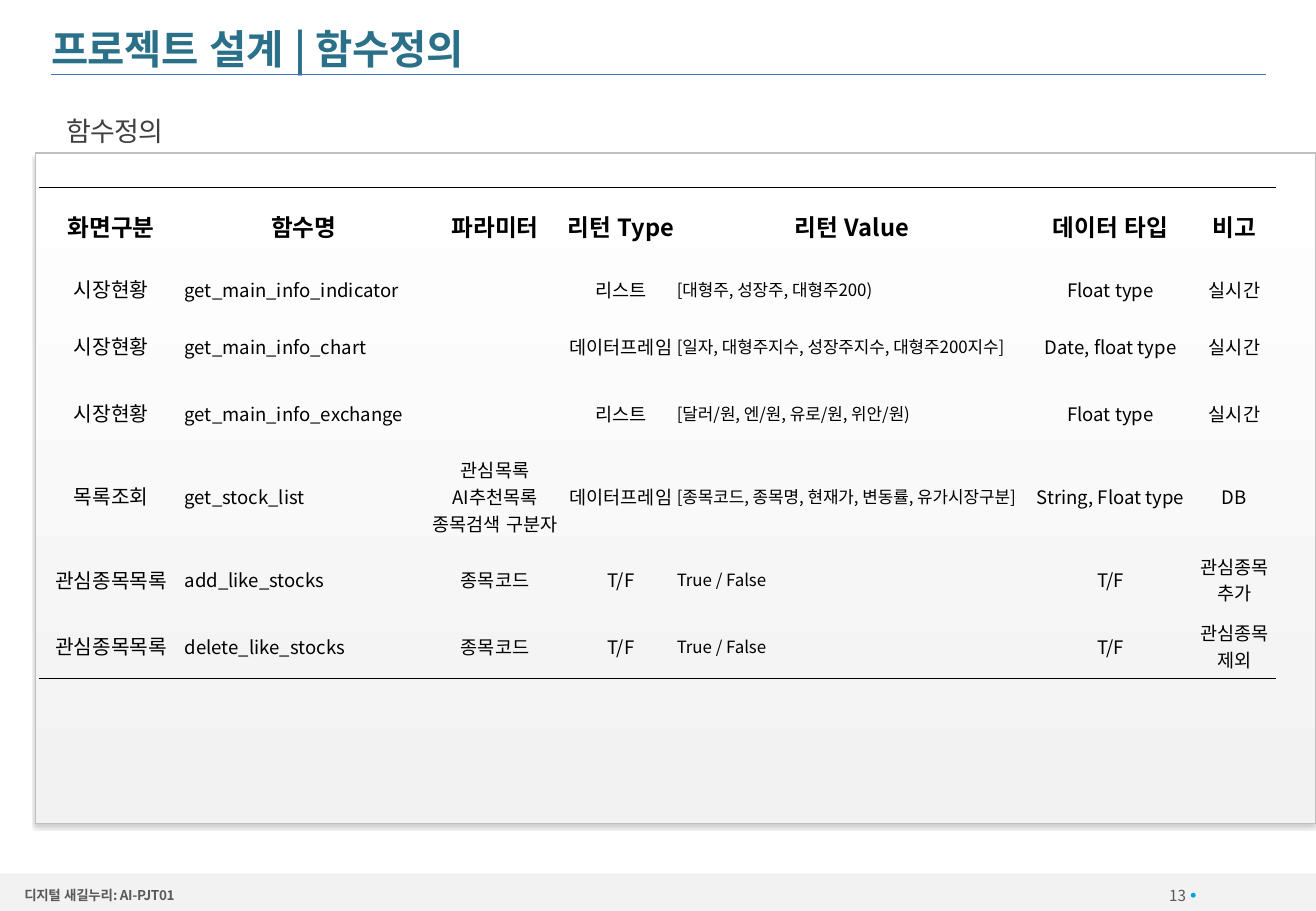
from dataclasses import dataclass
from typing import NamedTuple

from lxml import etree
from pptx import Presentation
from pptx import util as u
from pptx.dml.color import RGBColor
from pptx.enum import shapes, text
from pptx.oxml import ns

FONT = "Noto Sans CJK KR"
TEAL = RGBColor(0x2B, 0x70, 0x89)
BLUE = RGBColor(0x44, 0x72, 0xC4)
CYAN = RGBColor(0x00, 0xA3, 0xDF)
BLACK = RGBColor(0x00, 0x00, 0x00)
CHARCOAL = RGBColor(0x40, 0x40, 0x40)
GRAY = RGBColor(0x59, 0x59, 0x59)
SILVER = RGBColor(0xBF, 0xBF, 0xBF)
PALE = RGBColor(0xF2, 0xF2, 0xF2)
WHITE = RGBColor(0xFF, 0xFF, 0xFF)
LEFT, CENTER, RIGHT = text.PP_ALIGN.LEFT, text.PP_ALIGN.CENTER, text.PP_ALIGN.RIGHT
NO_TABLE_STYLE = "{2D5ABB26-0587-4C30-8999-92F81FD0307C}"


@dataclass(frozen=True)
class Style:
    size: float
    color: RGBColor = BLACK
    bold: bool = False
    align: text.PP_ALIGN = LEFT
    spacing: float = 0


@dataclass(frozen=True)
class Column:
    heading: str
    width: float
    style: Style


class FunctionRow(NamedTuple):
    screen: str
    name: str
    parameters: str
    return_type: str
    return_value: str
    data_type: str
    note: str


class Box(NamedTuple):
    left: float
    top: float
    width: float
    height: float

    def lengths(self) -> list[u.Length]:
        return [u.Inches(value) for value in self]


HEADING = Style(14, bold=True, align=CENTER)
BODY = Style(11, align=CENTER)
COLUMNS = [
    Column("화면구분", 1.19, Style(12, align=CENTER)),
    Column("함수명", 1.98, Style(11)),
    Column("파라미터", 1.17, BODY),
    Column("리턴 Type", 0.9, BODY),
    Column("리턴 Value", 2.9, Style(10)),
    Column("데이터 타입", 1.36, BODY),
    Column("비고", 0.68, BODY),
]
ROW_HEIGHTS = [0.64, 0.39, 0.55, 0.55, 0.82, 0.55, 0.55]
FUNCTIONS = [
    FunctionRow("시장현황", "get_main_info_indicator", "", "리스트",
                "[대형주, 성장주, 대형주200)", "Float type", "실시간"),
    FunctionRow("시장현황", "get_main_info_chart", "", "데이터프레임",
                "[일자, 대형주지수, 성장주지수, 대형주200지수]", "Date, float type", "실시간"),
    FunctionRow("시장현황", "get_main_info_exchange", "", "리스트",
                "[달러/원, 엔/원, 유로/원, 위안/원)", "Float type", "실시간"),
    FunctionRow("목록조회", "get_stock_list", "관심목록\nAI추천목록\n종목검색 구분자", "데이터프레임",
                "[종목코드, 종목명, 현재가, 변동률, 유가시장구분]", "String, Float type", "DB"),
    FunctionRow("관심종목목록", "add_like_stocks", "종목코드", "T/F",
                "True / False", "T/F", "관심종목추가"),
    FunctionRow("관심종목목록", "delete_like_stocks", "종목코드", "T/F",
                "True / False", "T/F", "관심종목제외"),
]


def write(frame, content: str, style: Style) -> None:
    """Fill a text frame, one paragraph for each line of content."""
    for index, line in enumerate(content.split("\n")):
        paragraph = frame.add_paragraph() if index else frame.paragraphs[0]
        paragraph.alignment = style.align
        run = paragraph.add_run()
        run.text = line
        font = run.font
        font.name, font.size, font.bold = FONT, u.Pt(style.size), style.bold
        font.color.rgb = style.color
        properties = font._element
        properties.set("lang", "ko-KR")
        if style.spacing:
            properties.set("spc", str(round(style.spacing * 100)))
        etree.SubElement(properties, ns.qn("a:ea"), typeface=FONT)


def set_insets(frame, horizontal: float = 0, top: float = 0) -> None:
    frame.margin_left = frame.margin_right = u.Inches(horizontal)
    frame.margin_top, frame.margin_bottom = u.Inches(top), 0


def add_label(slide, box: Box, content: str, style: Style,
              anchor: text.MSO_ANCHOR = text.MSO_ANCHOR.TOP) -> None:
    frame = slide.shapes.add_textbox(*box.lengths()).text_frame
    frame.word_wrap = True
    frame.vertical_anchor = anchor
    set_insets(frame)
    write(frame, content, style)


def add_block(slide, kind: shapes.MSO_SHAPE, box: Box, color: RGBColor):
    shape = slide.shapes.add_shape(kind, *box.lengths())
    shape.shadow.inherit = False
    shape.fill.solid()
    shape.fill.fore_color.rgb = color
    shape.line.fill.background()
    return shape


def add_panel(slide, box: Box) -> None:
    panel = add_block(slide, shapes.MSO_SHAPE.RECTANGLE, box, WHITE)
    panel.fill.gradient()
    panel.fill.gradient_angle = 270
    for stop, color in zip(panel.fill.gradient_stops, (WHITE, PALE)):
        stop.color.rgb = color
    panel.line.color.rgb = SILVER
    panel.line.width = u.Pt(0.75)
    effects = panel.element.spPr.find(ns.qn("a:effectLst"))
    shadow = etree.SubElement(effects, ns.qn("a:outerShdw"), blurRad=str(u.Pt(1)),
                              dist=str(u.Pt(3)), dir="5400000", rotWithShape="0")
    color = etree.SubElement(shadow, ns.qn("a:srgbClr"), val=str(BLACK))
    etree.SubElement(color, ns.qn("a:alpha"), val="20000")


def add_border(cell, tag: str) -> None:
    line = etree.Element(ns.qn(tag), w=str(u.Pt(0.75)))
    fill = etree.SubElement(line, ns.qn("a:solidFill"))
    etree.SubElement(fill, ns.qn("a:srgbClr"), val=str(BLACK))
    cell._tc.get_or_add_tcPr().insert(0, line)


def add_function_table(slide, box: Box) -> None:
    rows = [[column.heading for column in COLUMNS], *FUNCTIONS]
    graphic_frame = slide.shapes.add_table(len(rows), len(COLUMNS), *box.lengths())
    table = graphic_frame.table
    table.first_row = table.horz_banding = False
    graphic_frame.element.find(".//" + ns.qn("a:tableStyleId")).text = NO_TABLE_STYLE
    for column, definition in zip(table.columns, COLUMNS):
        column.width = u.Inches(definition.width)
    for row_index, (row, values) in enumerate(zip(table.rows, rows)):
        row.height = u.Inches(ROW_HEIGHTS[row_index])
        for cell, value, definition in zip(row.cells, values, COLUMNS):
            cell.fill.background()
            cell.vertical_anchor = text.MSO_ANCHOR.MIDDLE
            set_insets(cell, 0.01, 0.01)
            if value:
                write(cell.text_frame, value, definition.style if row_index else HEADING)
            if row_index == 0:
                add_border(cell, "a:lnT")
            elif row_index == len(rows) - 1:
                add_border(cell, "a:lnB")


def main() -> None:
    presentation = Presentation()
    presentation.slide_width, presentation.slide_height = u.Inches(10.83), u.Inches(7.5)
    slide = presentation.slides.add_slide(presentation.slide_layouts[5])

    # Footer
    add_block(slide, shapes.MSO_SHAPE.RECTANGLE, Box(0, 7.19, 10.83, 0.31), PALE)
    add_block(slide, shapes.MSO_SHAPE.OVAL, Box(9.8, 7.35, 0.04, 0.04), CYAN)
    add_label(slide, Box(9.06, 7.27, 0.7, 0.2), "13", Style(9, GRAY, align=RIGHT),
              text.MSO_ANCHOR.MIDDLE)
    add_label(slide, Box(0.2, 7.3, 4.24, 0.13), "디지털 새길누리: AI-PJT01",
              Style(8, GRAY, bold=True, spacing=-0.2))

    # Title and rule
    title = slide.shapes.title
    title.left, title.top, title.width, title.height = Box(0.42, 0.18, 9.99, 0.44).lengths()
    frame = title.text_frame
    frame.auto_size = text.MSO_AUTO_SIZE.NONE
    frame.word_wrap = False
    frame.vertical_anchor = text.MSO_ANCHOR.MIDDLE
    set_insets(frame)
    write(frame, "프로젝트 설계 | 함수정의", Style(24, TEAL, bold=True, spacing=-0.2))
    rule = slide.shapes.add_connector(shapes.MSO_CONNECTOR.STRAIGHT, u.Inches(0.42),
                                      u.Inches(0.61), u.Inches(10.42), u.Inches(0.61))
    rule.line.color.rgb = BLUE
    rule.line.width = u.Pt(0.5)
    etree.SubElement(rule.element.spPr, ns.qn("a:effectLst"))

    # Function definitions
    add_panel(slide, Box(0.29, 1.26, 10.54, 5.52))
    add_label(slide, Box(0.55, 0.94, 6.97, 0.32), "함수정의", Style(16, CHARCOAL, spacing=-0.5))
    add_function_table(slide, Box(0.32, 1.54, 10.18, 4.05))

    presentation.save("out.pptx")


if __name__ == "__main__":
    main()
